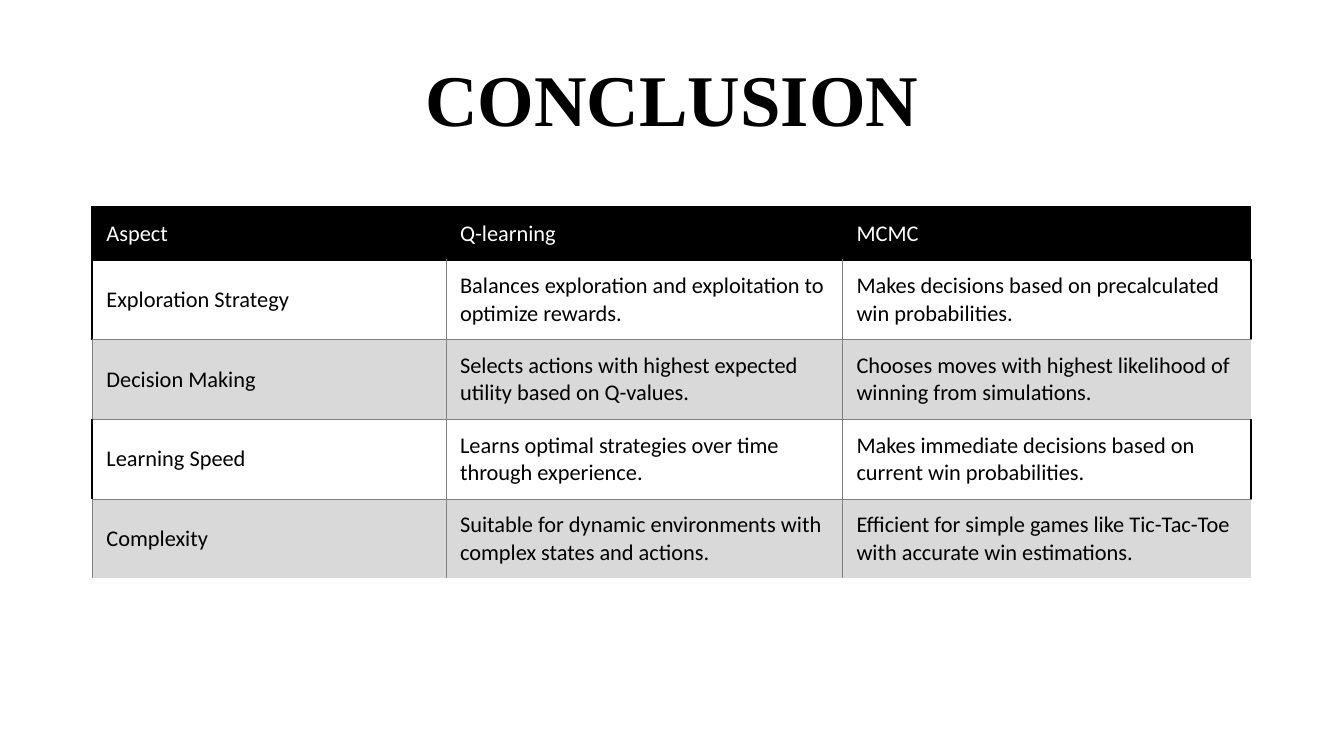
from lxml import etree
from pptx import Presentation
from pptx.dml.color import RGBColor
from pptx.enum.shapes import MSO_SHAPE
from pptx.enum.text import MSO_ANCHOR, PP_ALIGN
from pptx.oxml.ns import qn
from pptx.util import Inches, Pt

BLACK = RGBColor(0x00, 0x00, 0x00)
WHITE = RGBColor(0xFF, 0xFF, 0xFF)
GRAY = RGBColor(0x80, 0x80, 0x80)
LIGHT_GRAY = RGBColor(0xD9, 0xD9, 0xD9)
LEFT, CENTER = PP_ALIGN.LEFT, PP_ALIGN.CENTER
MIDDLE = MSO_ANCHOR.MIDDLE
OVAL = MSO_SHAPE.OVAL

GRID_UNIT = Inches(1) / 12  # 160 columns by 90 rows on the slide
COLUMN_WIDTHS = [42.1, 47.2, 48.6]
ROW_HEIGHTS = [6.36] + [9.48] * 4
PLAIN_TABLE_STYLE = "{2D5ABB26-0587-4C30-8999-92F81FD0307C}"
THICK_BLACK = (BLACK, 1.5)
THIN_GRAY = (GRAY, 0.5)

COMPARISON = [
    ["Aspect", "Q-learning", "MCMC"],
    ["Exploration Strategy",
     "Balances exploration and exploitation to optimize rewards.",
     "Makes decisions based on precalculated win probabilities."],
    ["Decision Making",
     "Selects actions with highest expected utility based on Q-values.",
     "Chooses moves with highest likelihood of winning from simulations."],
    ["Learning Speed",
     "Learns optimal strategies over time through experience.",
     "Makes immediate decisions based on current win probabilities."],
    ["Complexity",
     "Suitable for dynamic environments with complex states and actions.",
     "Efficient for simple games like Tic-Tac-Toe with accurate win estimations."],
]


def grid(units):
    """Convert grid units to a length."""
    return round(units * GRID_UNIT)


def write_text(frame, text, *, font, size, color=BLACK, bold=False,
               align=LEFT, line_spacing=1.0):
    frame.word_wrap = True
    paragraph = frame.paragraphs[0]
    paragraph.alignment = align
    paragraph.line_spacing = line_spacing
    run = paragraph.add_run()
    run.text = text
    run.font.name = font
    run.font.size = Pt(size)
    run.font.bold = bold
    run.font.color.rgb = color


def set_borders(cell, borders):
    """Draw the given sides; the schema wants them in the order L, R, T, B."""
    properties = cell._tc.get_or_add_tcPr()
    sides = [side for side in "LRTB" if side in borders]
    for position, side in enumerate(sides):
        color, width = borders[side]
        line = etree.Element(qn(f"a:ln{side}"), w=str(Pt(width)))
        fill = etree.SubElement(line, qn("a:solidFill"))
        etree.SubElement(fill, qn("a:srgbClr"), val=str(color))
        properties.insert(position, line)


def borders_for(row, column):
    """Frame the header and white rows in black, and separate cells in gray."""
    first, last = column == 0, column == len(COLUMN_WIDTHS) - 1
    if row == 0:
        borders = {"T": THICK_BLACK, "B": THICK_BLACK}
        if first:
            borders["L"] = THICK_BLACK
        return borders
    white_row = row % 2 == 1
    borders = {"L": THICK_BLACK if first and white_row else THIN_GRAY}
    if not last:
        borders["R"] = THIN_GRAY
    elif white_row:
        borders["R"] = THICK_BLACK
    if row == 1:
        borders["T"] = THICK_BLACK
    elif not white_row:
        borders["T"] = THIN_GRAY
    if white_row:
        borders["B"] = THIN_GRAY
    return borders


class SlideBuilder:
    title_font = "Times New Roman"
    body_font = "Calibri"

    def __init__(self, slide):
        self.slide = slide

    def title(self, text, left, top, width, height):
        shape = self.slide.shapes.add_shape(
            OVAL, *map(grid, (left, top, width, height)))
        shape.shadow.inherit = False
        shape.fill.background()
        shape.line.fill.background()
        shape.text_frame.vertical_anchor = MIDDLE
        write_text(shape.text_frame, text, font=self.title_font, size=52,
                   bold=True, align=CENTER, line_spacing=0.9)

    def table(self, content, left, top):
        frame = self.slide.shapes.add_table(
            len(content), len(content[0]), grid(left), grid(top),
            grid(sum(COLUMN_WIDTHS)), grid(sum(ROW_HEIGHTS)))
        table = frame.table
        table.first_row = table.horz_banding = False
        table._tbl.tblPr.find(qn("a:tableStyleId")).text = PLAIN_TABLE_STYLE
        for column, width in zip(table.columns, COLUMN_WIDTHS):
            column.width = grid(width)
        for row, height in zip(table.rows, ROW_HEIGHTS):
            row.height = grid(height)
        for row, texts in enumerate(content):
            for column, text in enumerate(texts):
                self.table_cell(table.cell(row, column), text, row, column)

    def table_cell(self, cell, text, row, column):
        cell.vertical_anchor = MIDDLE
        cell.margin_left = Inches(0.14)
        cell.margin_right = cell.margin_top = cell.margin_bottom = Inches(0.11)
        if row % 2 == 0:
            cell.fill.solid()
            cell.fill.fore_color.rgb = LIGHT_GRAY if row else BLACK
        else:
            cell.fill.background()
        write_text(cell.text_frame, text, font=self.body_font, size=16,
                   color=BLACK if row else WHITE)
        set_borders(cell, borders_for(row, column))


def main():
    presentation = Presentation()
    presentation.slide_width = grid(160)
    presentation.slide_height = grid(90)
    builder = SlideBuilder(presentation.slides.add_slide(presentation.slide_layouts[6]))
    builder.title("CONCLUSION", 11, 2.4, 138, 19.8)
    builder.table(COMPARISON, 11, 24.6)
    presentation.save("out.pptx")


if __name__ == "__main__":
    main()
